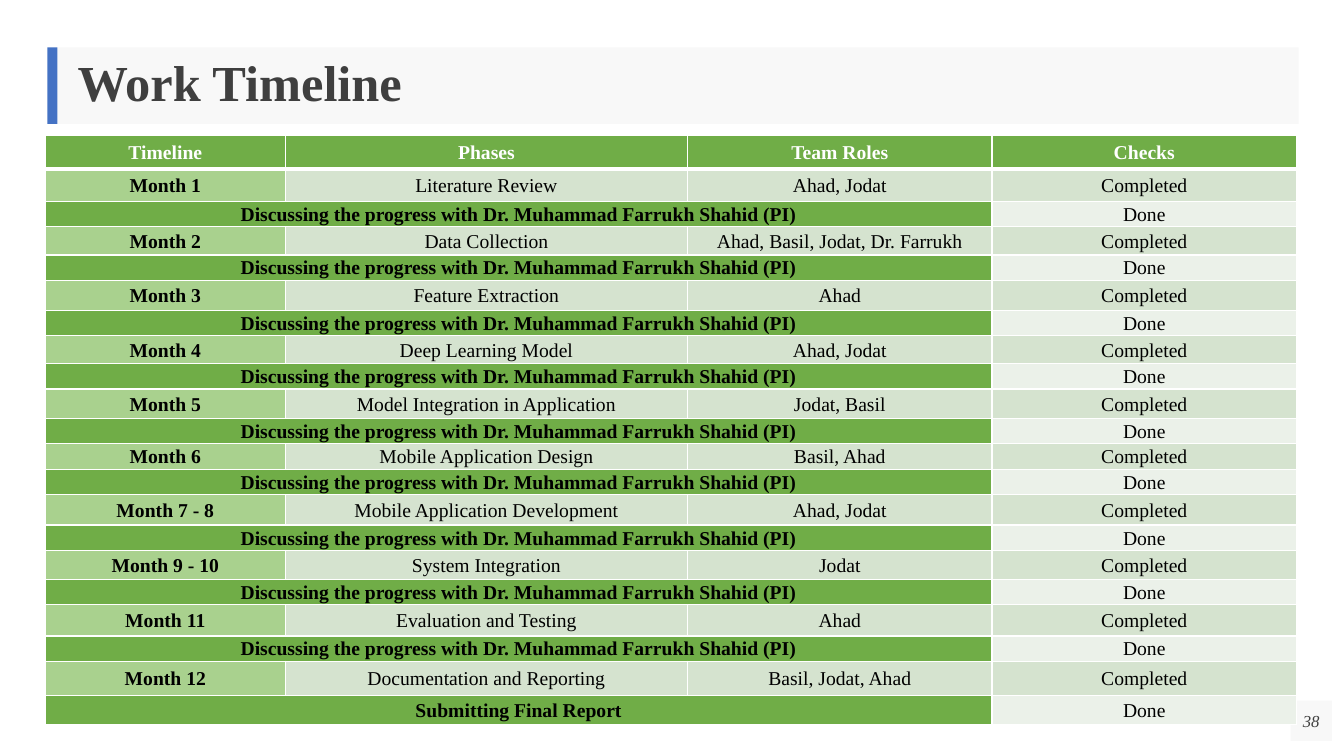
from lxml import etree
from pptx import Presentation
from pptx.dml.color import RGBColor
from pptx.enum.shapes import MSO_SHAPE
from pptx.enum.text import MSO_ANCHOR, MSO_AUTO_SIZE, PP_ALIGN
from pptx.oxml.ns import qn
from pptx.util import Inches, Pt

RECTANGLE = MSO_SHAPE.RECTANGLE
MIDDLE = MSO_ANCHOR.MIDDLE
NO_AUTOFIT = MSO_AUTO_SIZE.NONE
LEFT, CENTER = PP_ALIGN.LEFT, PP_ALIGN.CENTER

COLORS = {
    "accent": "4472C4", "panel": "F2F2F2", "heading": "3F3F3F",
    "green": "70AD47", "month": "A9D18E", "phase": "D5E3CF",
    "done": "EBF1E9", "white": "FFFFFF", "black": "000000",
}
COLUMN_WIDTHS = (2.38, 3.99, 3.02, 3.02)
HEADINGS = ("Timeline", "Phases", "Team Roles", "Checks")
MEETING = "Discussing the progress with Dr. Muhammad Farrukh Shahid (PI)"
SUBMISSION = "Submitting Final Report"
PHASES = [
    ("Month 1", "Literature Review", "Ahad, Jodat", 0.32),
    ("Month 2", "Data Collection", "Ahad, Basil, Jodat, Dr. Farrukh", 0.28),
    ("Month 3", "Feature Extraction", "Ahad", 0.3),
    ("Month 4", "Deep Learning Model", "Ahad, Jodat", 0.28),
    ("Month 5", "Model Integration in Application", "Jodat, Basil", 0.29),
    ("Month 6", "Mobile Application Design", "Basil, Ahad", 0.26),
    ("Month 7 - 8", "Mobile Application Development", "Ahad, Jodat", 0.3),
    ("Month 9 - 10", "System Integration", "Jodat", 0.29),
    ("Month 11", "Evaluation and Testing", "Ahad", 0.31),
    ("Month 12", "Documentation and Reporting", "Basil, Jodat, Ahad", 0.34),
]


class TimelineSlide:
    """Draws the elements of one slide in a shared style."""

    def __init__(self, slide, font_name):
        self.slide = slide
        self.font_name = font_name

    def color(self, name):
        return RGBColor.from_string(COLORS[name])

    def format_text(self, paragraph, size, color, align, bold=False, italic=False):
        paragraph.alignment = align
        font = paragraph.font
        font.name, font.size = self.font_name, Pt(size)
        font.bold, font.italic = bold, italic
        font.color.rgb = self.color(color)

    def fill(self, target, color, opacity=100):
        target.fill.solid()
        target.fill.fore_color.rgb = self.color(color)
        if opacity < 100:
            srgb = target._element.spPr.find(".//" + qn("a:srgbClr"))
            etree.SubElement(srgb, qn("a:alpha"), val=str(opacity * 1000))

    def frame(self, shape, left_inset=0):
        frame = shape.text_frame
        frame.word_wrap, frame.auto_size = True, NO_AUTOFIT
        frame.vertical_anchor = MIDDLE
        frame.margin_left = Inches(left_inset)
        frame.margin_top = frame.margin_right = frame.margin_bottom = 0
        return frame

    def title(self, text, *box):
        heading = self.slide.shapes.title
        heading.left, heading.top, heading.width, heading.height = map(Inches, box)
        self.fill(heading, "panel", 50)
        frame = self.frame(heading, 0.2)
        frame.text = text
        frame.paragraphs[0].line_spacing = 0.9
        self.format_text(frame.paragraphs[0], 36, "heading", LEFT, bold=True)

    def panel(self, color, *box, opacity=100):
        panel = self.slide.shapes.add_shape(RECTANGLE, *map(Inches, box))
        panel.shadow.inherit = False
        panel.line.fill.background()
        self.fill(panel, color, opacity)
        return panel

    def page_number(self, text, *box):
        frame = self.frame(self.panel("panel", *box, opacity=50))
        frame.text = text
        self.format_text(frame.paragraphs[0], 12, "heading", CENTER, italic=True)

    def borders(self, cell, top, bottom):
        properties = cell._tc.get_or_add_tcPr()
        for side, points in (("L", 1), ("R", 1), ("T", top), ("B", bottom)):
            line = etree.SubElement(properties, qn(f"a:ln{side}"), w=str(Pt(points)))
            paint = etree.SubElement(line, qn("a:solidFill"))
            etree.SubElement(paint, qn("a:srgbClr"), val=COLORS["white"])

    def cell(self, cell, text, fill, color="black", bold=False, top=1, bottom=1):
        self.borders(cell, top, bottom)
        self.fill(cell, fill)
        cell.vertical_anchor = MIDDLE
        cell.margin_left = cell.margin_right = Inches(0.07)
        cell.margin_top = cell.margin_bottom = 0
        cell.text = text
        paragraph = cell.text_frame.paragraphs[0]
        paragraph.line_spacing, paragraph.space_after = 1.07, Pt(8)
        self.format_text(paragraph, 14, color, CENTER, bold=bold)

    def timeline(self, left, top):
        heights = [0.34]
        for *_, height in PHASES:
            heights += [height, 0.25]
        heights[-1] = 0.29
        box = map(Inches, (left, top, sum(COLUMN_WIDTHS), sum(heights)))
        table = self.slide.shapes.add_table(len(heights), len(HEADINGS), *box).table
        for column, width in zip(table.columns, COLUMN_WIDTHS):
            column.width = Inches(width)
        for row, height in zip(table.rows, heights):
            row.height = Inches(height)
        for col, heading in enumerate(HEADINGS):
            self.cell(table.cell(0, col), heading, "green", "white", True, bottom=3)
        for index, (month, phase, team, _) in enumerate(PHASES):
            row = 2 * index + 1
            for col, text in enumerate((month, phase, team, "Completed")):
                self.cell(table.cell(row, col), text, "phase" if col else "month",
                          bold=col == 0, top=1 if index else 3)
            milestone = MEETING if index < len(PHASES) - 1 else SUBMISSION
            table.cell(row + 1, 0).merge(table.cell(row + 1, 2))
            for col, text in enumerate((milestone, "", "")):
                self.cell(table.cell(row + 1, col), text, "green", bold=True)
            self.cell(table.cell(row + 1, 3), "Done", "done")


def main():
    deck = Presentation()
    deck.slide_width, deck.slide_height = Inches(13.33), Inches(7.5)
    slide = deck.slides.add_slide(deck.slide_layouts[5])
    page = TimelineSlide(slide, "Times New Roman")
    page.panel("accent", 0.47, 0.47, 0.1, 0.76)
    page.title("Work Timeline", 0.57, 0.47, 12.31, 0.76)
    page.page_number("38", 12.8, 6.95, 0.41, 0.4)
    page.timeline(0.45, 1.34)
    deck.save("out.pptx")


if __name__ == "__main__":
    main()
